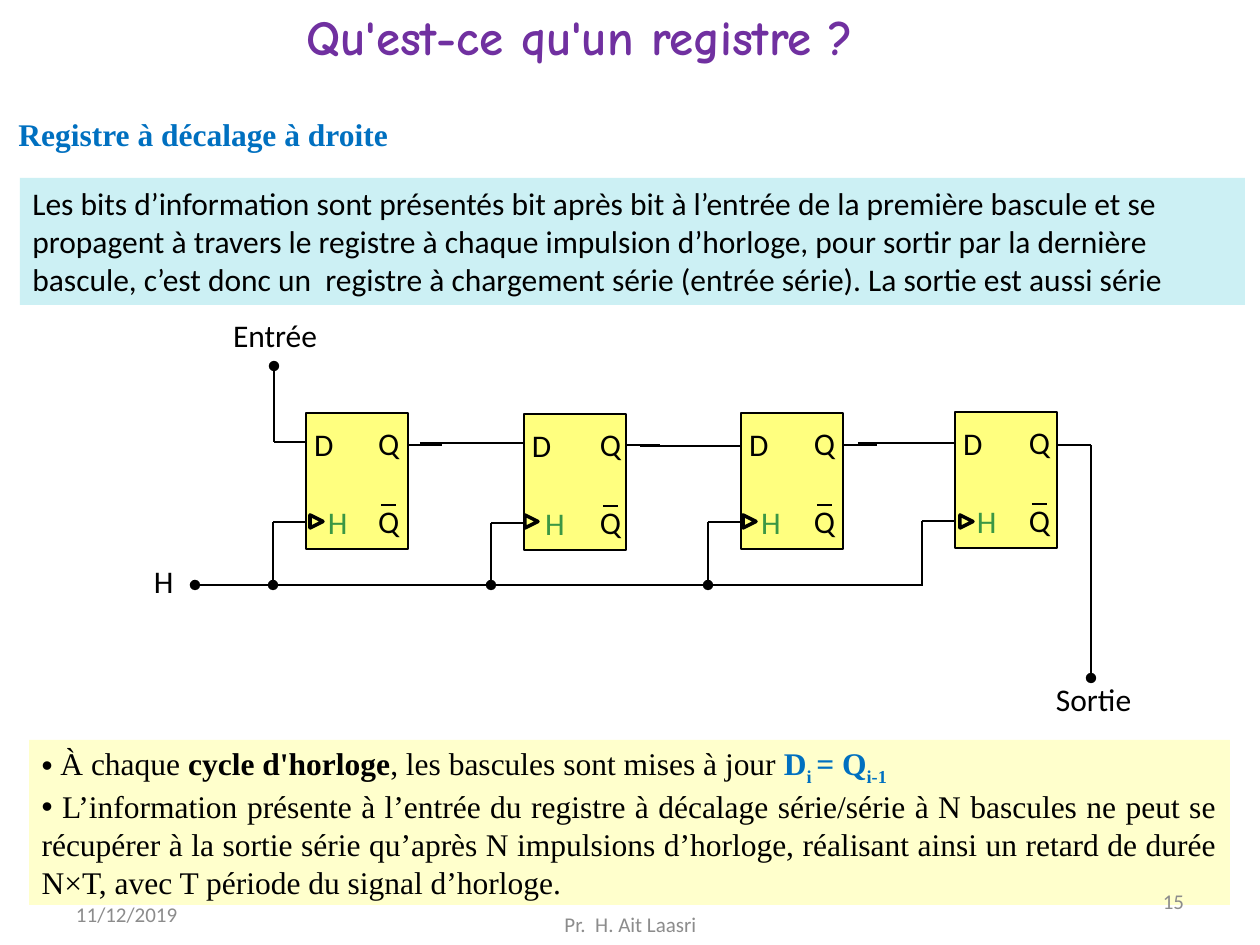
from dataclasses import dataclass

from lxml import etree
from pptx import Presentation
from pptx import util as u
from pptx.dml import color
from pptx.enum import shapes, text
from pptx.oxml import ns

PX = 914400 / 126
SANS, SERIF = "Calibri", "Times New Roman"
BLACK, BLUE, PURPLE, GREEN, GREY = "000000", "0070C0", "7030A0", "3B9744", "8C8C8C"
BOX_W, BOX_H = 102, 136
BUS_Y = 585


@dataclass
class FlipFlop:
    """One D flip-flop; data_from and data_y place the wire into D."""
    left: int
    top: int
    data_from: int
    data_y: int
    q_dx: int
    h_dx: int
    mark_dx: int
    junction: bool = True


@dataclass
class Label:
    """A line of plain text in its own box."""
    words: str
    left: int
    top: int
    width: int
    height: int = 38
    size: int = 18
    colour: str = BLACK
    align: str = "LEFT"
    margin: int = 0


FLIP_FLOPS = [
    FlipFlop(306, 413, 274, 442, 72, 22, 4),
    FlipFlop(524, 414, 420, 443, 76, 21, 1),
    FlipFlop(741, 413, 640, 446, 73, 20, 2),
    FlipFlop(955, 412, 858, 443, 74, 22, 5, False),
]
LABELS = [
    Label("Entrée", 233, 316, 122),
    Label("Sortie", 1056, 680, 91),
    Label("H", 154, 562, 26),
    Label("11/12/2019", 63, 889, 294, 50, 12, GREY, margin=13),
    Label("15", 903, 876, 294, 50, 12, GREY, "RIGHT", 13),
    Label("Pr.  H. Ait Laasri", 431, 899, 399, 50, 12, GREY, "CENTER", 13),
]
BULLETS = [
    [(" À chaque\u00a0", BLACK, False, 0), ("cycle d'horloge", BLACK, True, 0),
     (", les bascules sont mises à jour ", BLACK, False, 0),
     ("D", BLUE, True, 0), ("i ", BLUE, True, -25000),
     ("= Q", BLUE, True, 0), ("i-1", BLUE, True, -25000)],
    [(" L’information présente à l’entrée du registre à décalage série/série "
      "à N bascules ne peut se récupérer à la sortie série qu’après N "
      "impulsions d’horloge, réalisant ainsi un retard de durée N×T, avec T "
      "période du signal d’horloge.", BLACK, False, 0)],
]


def px(*lengths: float) -> list[int]:
    """Turn pixels into EMU."""
    return [round(n * PX) for n in lengths]


def rgb(hex_colour: str) -> color.RGBColor:
    """Turn a hex string into a colour."""
    return color.RGBColor.from_string(hex_colour)


def place(sp, left: int, top: int, width: int, height: int) -> None:
    """Move and size a shape."""
    sp.left, sp.top, sp.width, sp.height = px(left, top, width, height)


def style(p, font: str, size: int, colour: str, bold: bool = False) -> None:
    """Set the font of a whole paragraph."""
    p.font.name, p.font.size, p.font.bold = font, u.Pt(size), bold
    p.font.color.rgb = rgb(colour)


def add_label(s, label: Label) -> None:
    """Draw a vertically centred label."""
    sp = s.shapes.add_textbox(*px(label.left, label.top, label.width, label.height))
    tf = sp.text_frame
    tf.word_wrap, tf.vertical_anchor = True, text.MSO_ANCHOR.MIDDLE
    tf.margin_left, tf.margin_right = px(label.margin, label.margin)
    tf.margin_top = tf.margin_bottom = 0
    p = tf.paragraphs[0]
    p.text, p.alignment = label.words, text.PP_ALIGN[label.align]
    style(p, SANS, label.size, label.colour)


def add_wire(s, x1: int, y1: int, x2: int, y2: int, width: float = 0.75,
             dot: bool = False) -> None:
    """Draw a line, with a dot at its end if asked."""
    wire = s.shapes.add_connector(shapes.MSO_CONNECTOR.STRAIGHT, *px(x1, y1, x2, y2))
    wire.line.color.rgb, wire.line.width = rgb(BLACK), u.Pt(width)
    if dot:
        etree.SubElement(wire.line._get_or_add_ln(), ns.qn("a:tailEnd"), type="oval")
    etree.SubElement(wire._element.spPr, ns.qn("a:effectLst"))


def add_box(s, kind, left: int, top: int, width: int, height: int,
            fill: str = "", line: float = 0, alpha: int = 100):
    """Draw a preset shape with optional fill and outline."""
    sp = s.shapes.add_shape(kind, *px(left, top, width, height))
    sp.shadow.inherit = False
    if fill:
        sp.fill.solid()
        sp.fill.fore_color.rgb = rgb(fill)
        if alpha < 100:
            clr = sp._element.spPr.find(".//" + ns.qn("a:srgbClr"))
            etree.SubElement(clr, ns.qn("a:alpha"), val=str(alpha * 1000))
    else:
        sp.fill.background()
    if line:
        sp.line.color.rgb, sp.line.width = rgb(BLACK), u.Pt(line)
    else:
        sp.line.fill.background()
    return sp


def add_flip_flop(s, ff: FlipFlop) -> None:
    """Draw one flip-flop with its data, clock and output wires."""
    x, y = ff.left, ff.top
    add_box(s, shapes.MSO_SHAPE.RECTANGLE, x, y, BOX_W, BOX_H, "FFFF00", 0.75, 50)
    for words, dx, dy, colour in (("D", 8, 12, BLACK), ("Q", ff.q_dx, 11, BLACK),
                                  ("Q", ff.q_dx, 89, BLACK), ("H", ff.h_dx, 90, GREEN)):
        add_label(s, Label(words, x + dx, y + dy, 17, colour=colour))
    add_wire(s, x + ff.q_dx + 3, y + 92, x + ff.q_dx + 18, y + 92, 1.5)
    add_wire(s, ff.data_from, ff.data_y, x, ff.data_y, 1)
    add_wire(s, x + BOX_W, 445, x + BOX_W + 34, 445)
    add_wire(s, x - 33, y + 109, x, y + 109)
    add_wire(s, x - 33, y + 109, x - 33, BUS_Y, dot=ff.junction)
    mark = add_box(s, shapes.MSO_SHAPE.FLOWCHART_EXTRACT, x + ff.mark_dx, 515, 13, 13, line=2)
    mark.rotation = 90


def add_heading(s) -> None:
    """Fill the title, the subtitle and the definition band."""
    title = s.shapes.title
    place(title, 294, 0, 682, 72)
    tf = title.text_frame
    tf.word_wrap, tf.auto_size = False, text.MSO_AUTO_SIZE.NONE
    tf.vertical_anchor = text.MSO_ANCHOR.TOP
    band = add_box(s, shapes.MSO_SHAPE.RECTANGLE, 20, 178, 1225, 127, "CCF0F4")
    band.text_frame.vertical_anchor = text.MSO_ANCHOR.TOP
    subtitle = s.shapes.add_textbox(*px(6, 109, 420, 50))
    subtitle.text_frame.word_wrap = True
    for sp, words, font, size, colour, bold in (
            (title, "Qu'est-ce qu'un registre ?", "Comic Neue", 28, PURPLE, True),
            (subtitle, "Registre à décalage à droite", SERIF, 18, BLUE, True),
            (band, "Les bits d’information sont présentés bit après bit à l’entrée de la "
             "première bascule et se propagent à travers le registre à chaque impulsion "
             "d’horloge, pour sortir par la dernière bascule, c’est donc un  registre à "
             "chargement série (entrée série). La sortie est aussi série",
             SANS, 18, BLACK, False)):
        p = sp.text_frame.paragraphs[0]
        p.text, p.alignment = words, text.PP_ALIGN.LEFT
        style(p, font, size, colour, bold)


def add_bullets(s) -> None:
    """Fill the body placeholder with the two remarks."""
    body = s.placeholders[1]
    place(body, 29, 740, 1201, 165)
    body.fill.solid()
    body.fill.fore_color.rgb = rgb("FFFFCC")
    tf = body.text_frame
    tf.auto_size, tf.vertical_anchor = text.MSO_AUTO_SIZE.NONE, text.MSO_ANCHOR.MIDDLE
    for i, runs in enumerate(BULLETS):
        p = tf.add_paragraph() if i else tf.paragraphs[0]
        p.alignment, p.space_before = text.PP_ALIGN.JUSTIFY, u.Pt(0)
        p.font.name, p.font.size = SERIF, u.Pt(18)
        pPr = p._p.get_or_add_pPr()
        pPr.set("marL", "0")
        pPr.set("indent", "0")
        bullet = etree.Element(ns.qn("a:buChar"), char="•")
        pPr.find(ns.qn("a:defRPr")).addprevious(bullet)
        for words, colour, bold, baseline in runs:
            r = p.add_run()
            r.text, r.font.bold = words, bold
            r.font.name, r.font.size = SERIF, u.Pt(18)
            r.font.color.rgb = rgb(colour)
            if baseline:
                r._r.get_or_add_rPr().set("baseline", str(baseline))


def main() -> None:
    """Build the slide and save it."""
    prs = Presentation()
    prs.slide_width, prs.slide_height = u.Inches(10), u.Inches(7.5)
    s = prs.slides.add_slide(prs.slide_layouts[1])
    add_heading(s)
    add_bullets(s)
    add_wire(s, 923, BUS_Y, 195, BUS_Y, dot=True)
    for ff in FLIP_FLOPS:
        add_flip_flop(s, ff)
    add_wire(s, 274, 442, 274, 366, dot=True)
    add_wire(s, 1091, 445, 1091, 678, dot=True)
    for label in LABELS:
        add_label(s, label)
    prs.save("out.pptx")


main()
